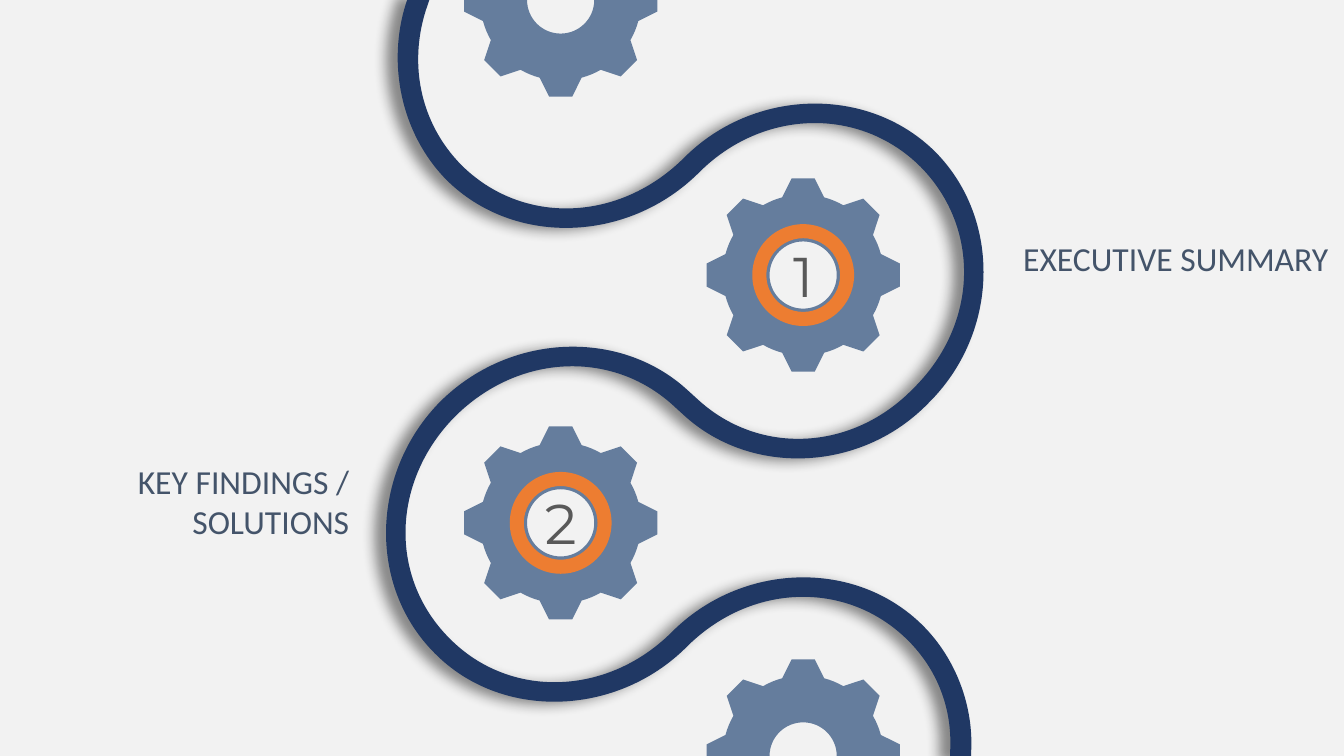
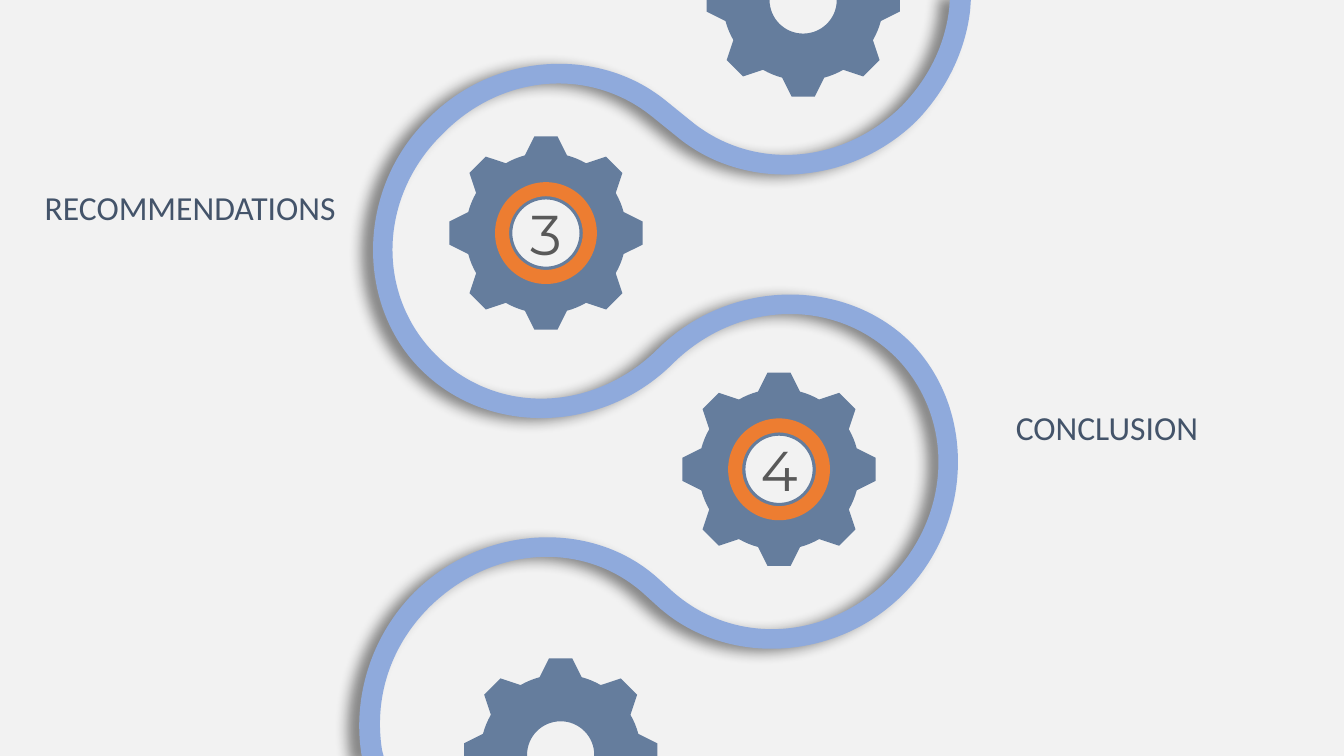
import math

from lxml import etree
from pptx import Presentation
from pptx import util as u
from pptx.dml.color import RGBColor
from pptx.enum import shapes, text
from pptx.oxml import ns

PX = 9525  # EMU in one px, 96 px to the inch
SLIDE_WIDTH, SLIDE_HEIGHT = 1280, 720

COLORS = {
    "background": "F2F2F2",
    "navy": "203864",
    "sky": "8FAADC",
    "gear": "657D9D",
    "ring": "ED7D31",
    "label": "44546A",
    "number": "595959",
    "shadow": "000000",
}
LABEL_FONT = {"name": "Calibri", "size": u.Pt(24)}
NUMBER_FONT = {"name": "Montserrat", "size": u.Pt(40)}
FRAME = {"word_wrap": True, "auto_size": text.MSO_AUTO_SIZE.SHAPE_TO_FIT_TEXT}

# Gear: one tooth pointing up, repeated round the centre
TEETH = 8
TOOTH = [(-20, -74), (-11, -92), (11, -92), (20, -74)]
HOLE_RADIUS = 32
RING_SIZE = 97
RING_THICKNESS = 0.138
NUMBER_SIZE = 84, 74

# Ribbon
RIBBON_WIDTH = 20
RIBBON_ROTATION = 45
SHADOW = {"blurRad": 13 * PX, "dist": 11 * PX, "dir": 165 * 60000, "rotWithShape": 0}
SHADOW_ALPHA = 45000

# A step of one point is a line, a step of three points is a Bezier curve
SLIDES = [
    {
        "ribbon_color": "navy",
        "ribbon_start": (400, -5),
        "ribbon": [
            [(396, 7)],
            [(379, 61), (391, 122), (432, 164)],
            [(493, 225), (594, 222), (659, 157)],
            [(722, 94), (823, 91), (884, 152)],
            [(944, 213), (942, 313), (877, 377)],
            [(816, 440), (719, 444), (658, 388)],
            [(647, 378)],
            [(586, 323), (489, 327), (426, 390)],
            [(363, 454), (360, 554), (421, 615)],
            [(481, 676), (582, 673), (646, 610)],
            [(710, 545), (811, 542), (872, 603)],
            [(902, 633), (917, 674), (915, 715)],
            [(915, 724)],
        ],
        "gears": [(534, 0), (765, 720)],
        "numbered_gears": [("1", 765, 262), ("2", 534, 498)],
        "labels": [
            ("EXECUTIVE SUMMARY", 965, 222, 315, 78, "LEFT"),
            ("KEY FINDINGS / SOLUTIONS", 60, 434, 282, 116, "RIGHT"),
        ],
    },
    {
        "ribbon_color": "sky",
        "ribbon_start": (915, -5),
        "ribbon": [
            [(914, 9)],
            [(910, 44), (894, 79), (866, 108)],
            [(806, 167), (714, 173), (653, 124)],
            [(627, 103)],
            [(566, 54), (474, 60), (415, 120)],
            [(350, 183), (348, 285), (408, 345)],
            [(469, 406), (570, 403), (634, 339)],
            [(698, 276), (799, 273), (860, 333)],
            [(920, 394), (917, 495), (853, 559)],
            [(791, 621), (694, 625), (633, 570)],
            [(622, 560)],
            [(562, 504), (465, 509), (402, 571)],
            [(362, 611), (346, 665), (354, 716)],
            [(356, 724)],
        ],
        "gears": [(765, 0), (534, 719)],
        "numbered_gears": [("3", 520, 222), ("4", 742, 447)],
        "labels": [
            ("RECOMMENDATIONS", 31, 173, 298, 48, "RIGHT"),
            ("CONCLUSION", 958, 383, 322, 48, "LEFT"),
        ],
    },
]


def px(value):
    return u.Emu(round(value * PX))


def rgb(name):
    return RGBColor.from_string(COLORS[name])


def set_all(target, values):
    for name, value in values.items():
        setattr(target, name, value)


# Geometry: an outline is a list of steps, the first one its starting point
def rotate(point, degrees):
    x, y = point
    angle = math.radians(degrees)
    cos, sin = math.cos(angle), math.sin(angle)
    return x * cos - y * sin, x * sin + y * cos


def transform(outline, change):
    return [[change(point) for point in step] for step in outline]


def arc(start, degrees):
    """One Bezier step from start round the point 0, 0."""
    reach = 4 / 3 * math.tan(math.radians(degrees) / 4)
    end = rotate(start, degrees)
    return [
        (start[0] - reach * start[1], start[1] + reach * start[0]),
        (end[0] + reach * end[1], end[1] - reach * end[0]),
        end,
    ]


def gear_outline():
    pitch = 360 / TEETH
    gap = pitch - 2 * math.degrees(math.atan2(TOOTH[-1][0], -TOOTH[-1][1]))
    tooth = [[point] for point in TOOTH[1:]] + [arc(TOOTH[-1], gap)]
    outline = [[TOOTH[0]]]
    for i in range(TEETH):
        outline += transform(tooth, lambda point: rotate(point, pitch * i))
    return outline


def hole_outline():
    outline = [[(0, HOLE_RADIUS)]]
    for _ in range(4):
        outline.append(arc(outline[-1][-1], -90))
    return outline


def offset(points, distance):
    """The points moved sideways, each along the mitre of its two edges."""
    normals = []
    for (x1, y1), (x2, y2) in zip(points, points[1:]):
        length = math.hypot(x2 - x1, y2 - y1)
        normals.append(((y1 - y2) / length, (x2 - x1) / length))
    moved = []
    for (x, y), a, b in zip(points, normals[:1] + normals, normals + normals[-1:]):
        reach = distance / (1 + a[0] * b[0] + a[1] * b[1])
        moved.append((x + reach * (a[0] + b[0]), y + reach * (a[1] + b[1])))
    return moved


def ribbon_outline(start, steps):
    points = [start] + [point for step in steps for point in step]
    sizes = [len(step) for step in steps]
    near = offset(points, RIBBON_WIDTH / 2)
    far = offset(points, -RIBBON_WIDTH / 2)[::-1]
    remaining = iter(near + far)
    return [
        [next(remaining) for _ in range(size)]
        for size in [1, *sizes, 1, *sizes[::-1]]
    ]


# Shapes
def add_freeform(slide, outlines, color):
    builder = None
    for outline in outlines:
        points = [(px(x), px(y)) for step in outline for x, y in step]
        if builder:
            builder.move_to(*points[0])
        else:
            builder = slide.shapes.build_freeform(*points[0], scale=1.0)
        builder.add_line_segments(points[1:], close=True)
    shape = builder.convert_to_shape()
    fill_plain(shape, color)

    # Join the three points of each curve into one Bezier segment
    lines = iter(list(shape.element.iter(ns.qn("a:lnTo"))))
    for step in (step for outline in outlines for step in outline[1:]):
        segment = [next(lines) for _ in step]
        if len(segment) == 3:
            curve = etree.Element(ns.qn("a:cubicBezTo"))
            segment[0].addprevious(curve)
            for line in segment:
                curve.append(line[0])
                line.getparent().remove(line)
    return shape


def fill_plain(shape, color):
    shape.shadow.inherit = False
    shape.fill.solid()
    shape.fill.fore_color.rgb = rgb(color)
    shape.line.fill.background()


def add_soft_shadow(shape):
    effects = shape.element.spPr.find(ns.qn("a:effectLst"))
    values = {name: str(value) for name, value in SHADOW.items()}
    shadow = etree.SubElement(effects, ns.qn("a:outerShdw"), values)
    color = etree.SubElement(shadow, ns.qn("a:srgbClr"), val=COLORS["shadow"])
    etree.SubElement(color, ns.qn("a:alpha"), val=str(SHADOW_ALPHA))


def add_ribbon(slide, start, steps, color):
    outline = transform(ribbon_outline(start, steps),
                        lambda point: rotate(point, -RIBBON_ROTATION))
    shape = add_freeform(slide, [outline], color)
    # The frame turns round its own centre, so bring that centre into place
    center = shape.left + shape.width / 2, shape.top + shape.height / 2
    center_x, center_y = rotate(center, RIBBON_ROTATION)
    shape.left = u.Emu(round(center_x - shape.width / 2))
    shape.top = u.Emu(round(center_y - shape.height / 2))
    shape.rotation = RIBBON_ROTATION
    add_soft_shadow(shape)


def add_gear(slide, center_x, center_y):
    outlines = [
        transform(outline, lambda point: (center_x + point[0], center_y + point[1]))
        for outline in (gear_outline(), hole_outline())
    ]
    add_freeform(slide, outlines, "gear")


def add_text(slide, words, box, font, color, align):
    shape = slide.shapes.add_textbox(*map(px, box))
    frame = shape.text_frame
    set_all(frame, FRAME)
    paragraph = frame.paragraphs[0]
    paragraph.alignment = text.PP_ALIGN[align]
    run = paragraph.add_run()
    run.text = words
    set_all(run.font, font)
    run.font.color.rgb = rgb(color)


def centered_box(center_x, center_y, width, height):
    return center_x - width / 2, center_y - height / 2, width, height


def add_numbered_gear(slide, number, *center):
    add_gear(slide, *center)
    ring_box = centered_box(*center, RING_SIZE, RING_SIZE)
    ring = slide.shapes.add_shape(shapes.MSO_SHAPE.DONUT, *map(px, ring_box))
    ring.adjustments[0] = RING_THICKNESS
    fill_plain(ring, "ring")
    number_box = centered_box(*center, *NUMBER_SIZE)
    add_text(slide, number, number_box, NUMBER_FONT, "number", "CENTER")


def build_slide(presentation, content):
    slide = presentation.slides.add_slide(presentation.slide_layouts[6])
    add_ribbon(slide, content["ribbon_start"], content["ribbon"],
               content["ribbon_color"])
    for center in content["gears"]:
        add_gear(slide, *center)
    for gear in content["numbered_gears"]:
        add_numbered_gear(slide, *gear)
    for words, *box, side in content["labels"]:
        add_text(slide, words, box, LABEL_FONT, "label", side)


def main():
    presentation = Presentation()
    presentation.slide_width = px(SLIDE_WIDTH)
    presentation.slide_height = px(SLIDE_HEIGHT)

    # Shared background
    background = presentation.slide_master.background.fill
    background.solid()
    background.fore_color.rgb = rgb("background")

    for content in SLIDES:
        build_slide(presentation, content)
    presentation.save("out.pptx")


if __name__ == "__main__":
    main()
